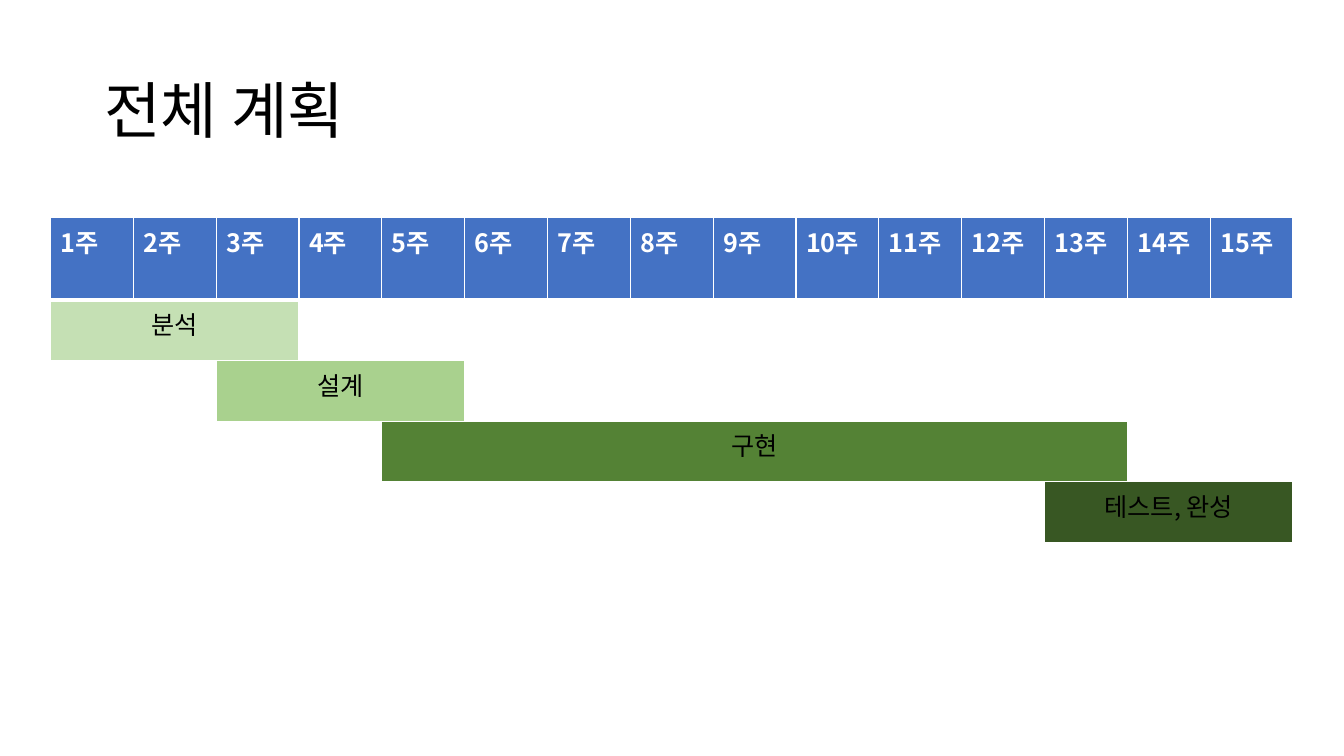
"""Build a slide with a fifteen-week project plan as a Gantt table."""
from lxml import etree
from pptx import Presentation
from pptx.dml.color import RGBColor
from pptx.enum.text import MSO_ANCHOR, PP_ALIGN
from pptx.oxml.ns import qn
from pptx.util import Inches, Pt

LEFT, CENTER = PP_ALIGN.LEFT, PP_ALIGN.CENTER
MIDDLE = MSO_ANCHOR.MIDDLE
TITLE_ONLY = 5
FONT = "Noto Sans CJK KR"
COLORS = {
    "black": "000000",
    "white": "FFFFFF",
    "header": "4472C4",
    "analysis": "C5E0B4",
    "design": "A9D18E",
    "build": "548235",
    "finish": "385723",
}
WEEKS = 15
STAGES = [
    ("분석", 1, 3, "analysis"),
    ("설계", 3, 5, "design"),
    ("구현", 5, 13, "build"),
    ("테스트, 완성", 13, 15, "finish"),
]
EMPTY_SPANS = [(1, 4, 15), (2, 1, 2)]


class PlanSlide:
    """Hold the style and the slide that is being built."""

    def __init__(self, presentation):
        self.width = presentation.slide_width
        self.height = presentation.slide_height
        self.slide = presentation.slides.add_slide(presentation.slide_layouts[TITLE_ONLY])

    def box(self, left, top, width, height):
        """Turn shares of the slide into lengths."""
        return (round(left * self.width), round(top * self.height),
                round(width * self.width), round(height * self.height))

    def style_text(self, text_frame, size, color, align=LEFT, bold=False):
        """Format every run of a text frame."""
        for paragraph in text_frame.paragraphs:
            paragraph.alignment = align
            for run in paragraph.runs:
                run.font.size = Pt(size)
                run.font.bold = bold
                run.font.name = FONT
                run.font.color.rgb = RGBColor.from_string(COLORS[color])
                east_asian = etree.SubElement(run._r.get_or_add_rPr(), qn("a:ea"))
                east_asian.set("typeface", FONT)

    def title(self, text, *shares):
        """Fill and place the title placeholder."""
        shape = self.slide.shapes.title
        shape.left, shape.top, shape.width, shape.height = self.box(*shares)
        shape.text_frame.text = text
        shape.text_frame.vertical_anchor = MIDDLE
        shape.text_frame.paragraphs[0].line_spacing = 0.9
        self.style_text(shape.text_frame, 44, "black")

    def table(self, rows, columns, row_heights, *shares):
        """Add a table of equal columns with white borders."""
        frame = self.slide.shapes.add_table(rows, columns, *self.box(*shares))
        table = frame.table
        for column in table.columns:
            column.width = frame.width // columns
        for row, height in zip(table.rows, row_heights):
            row.height = Inches(height)
        for index, row in enumerate(table.rows):
            for cell in row.cells:
                self.borders(cell, top=3 if index == 1 else 1, bottom=3 if index == 0 else 1)
                self.fill(cell, "white")
        return table

    def borders(self, cell, top, bottom):
        """Draw the four borders of a cell."""
        properties = cell._tc.get_or_add_tcPr()
        for side, width in (("L", 1), ("R", 1), ("T", top), ("B", bottom)):
            line = etree.SubElement(properties, qn(f"a:ln{side}"), w=str(int(Pt(width))))
            solid = etree.SubElement(line, qn("a:solidFill"))
            etree.SubElement(solid, qn("a:srgbClr"), val=COLORS["white"])

    def fill(self, cell, color):
        """Give a cell a plain fill."""
        cell.fill.solid()
        cell.fill.fore_color.rgb = RGBColor.from_string(COLORS[color])

    def span(self, table, row, first, last):
        """Merge the cells of a row from one week to another."""
        cell = table.cell(row, first - 1)
        cell.merge(table.cell(row, last - 1))
        return cell

    def label(self, cell, text, fill, color, align=LEFT, bold=False):
        """Fill a cell with colour and text."""
        self.fill(cell, fill)
        cell.text_frame.text = text
        self.style_text(cell.text_frame, 18, color, align, bold)


def main():
    """Create the presentation and save it."""
    presentation = Presentation()
    presentation.slide_width = Inches(13.33)
    presentation.slide_height = Inches(7.5)
    plan = PlanSlide(presentation)
    plan.title("전체 계획", 0.07, 0.05, 0.86, 0.2)

    heights = [0.82] + [0.6] * len(STAGES)
    table = plan.table(len(heights), WEEKS, heights, 0.5 / 13.33, 2.16 / 7.5, 12.33 / 13.33, 0.43)
    for week in range(1, WEEKS + 1):
        plan.label(table.cell(0, week - 1), f"{week}주", "header", "white", bold=True)
    for row, (name, first, last, color) in enumerate(STAGES, start=1):
        plan.label(plan.span(table, row, first, last), name, color, "black", CENTER)
    for row, first, last in EMPTY_SPANS:
        plan.span(table, row, first, last)

    presentation.save("out.pptx")


if __name__ == "__main__":
    main()
